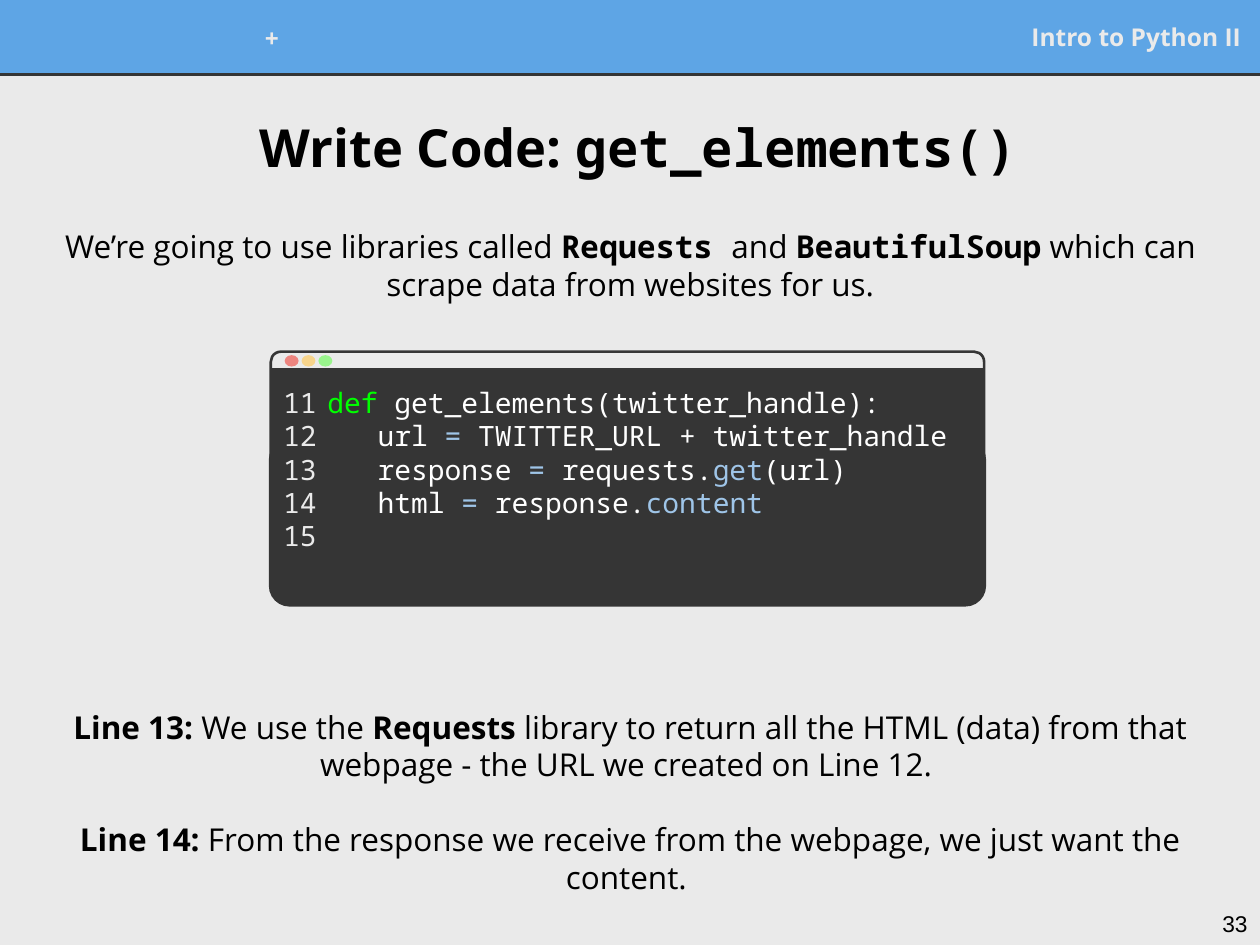
from lxml import etree
from pptx import Presentation
from pptx import util as u
from pptx.dml.color import RGBColor
from pptx.enum import shapes, text
from pptx.oxml.ns import qn

PAPER = RGBColor(0xEA, 0xEA, 0xEA)
SKY = RGBColor(0x5E, 0xA5, 0xE5)
CHARCOAL = RGBColor(0x35, 0x35, 0x35)
BLACK = RGBColor(0, 0, 0)
WHITE = RGBColor(0xFF, 0xFF, 0xFF)
KEYWORD = RGBColor(0, 0xFF, 0)
ACCENT = RGBColor(0x9F, 0xC5, 0xE8)
BUTTONS = (
    RGBColor(0xED, 0x85, 0x7F),
    RGBColor(0xF7, 0xD4, 0x8B),
    RGBColor(0x99, 0xF4, 0x8C),
)
SANS, MONO = "Open Sans", "Noto Sans Mono"
LEFT, CENTER, RIGHT = text.PP_ALIGN.LEFT, text.PP_ALIGN.CENTER, text.PP_ALIGN.RIGHT
TOP, MIDDLE = text.MSO_ANCHOR.TOP, text.MSO_ANCHOR.MIDDLE
PRESET = shapes.MSO_SHAPE


class Deck:
    inset = 0.25

    def __init__(self):
        self.prs = Presentation()
        self.prs.slide_width, self.prs.slide_height = u.Cm(25.4), u.Cm(19.05)
        self.slide = self.prs.slides.add_slide(self.prs.slide_layouts[5])
        self.slide.background.fill.solid()
        self.slide.background.fill.fore_color.rgb = PAPER
        self.canvas = self.slide.shapes

    def shape(self, preset, box, fill=None, line=None, width=0.75, corner=None):
        shape = self.canvas.add_shape(preset, *map(u.Cm, box))
        shape.shadow.inherit = False
        if corner is not None:
            shape.adjustments[0] = corner
        if fill is None:
            shape.fill.background()
        else:
            shape.fill.solid()
            shape.fill.fore_color.rgb = fill
        if line is None:
            shape.line.fill.background()
        else:
            shape.line.color.rgb = line
            shape.line.width = u.Pt(width)

    def rule(self, x1, y1, x2, y2, color, width):
        rule = self.canvas.add_connector(
            shapes.MSO_CONNECTOR.STRAIGHT, *map(u.Cm, (x1, y1, x2, y2)))
        rule.line.color.rgb = color
        rule.line.width = u.Pt(width)
        etree.SubElement(rule._element.spPr, qn("a:effectLst"))

    def text(self, box, paragraphs, **style):
        self.fill_text(self.canvas.add_textbox(*map(u.Cm, box)), paragraphs, **style)

    def title(self, box, runs, **style):
        title = self.slide.shapes.title
        title.left, title.top, title.width, title.height = map(u.Cm, box)
        self.fill_text(title, [runs], **style)

    def fill_text(self, holder, paragraphs, size, color=BLACK, font=SANS, bold=False,
                  align=LEFT, anchor=TOP, top=None, leading=None, gap=0):
        frame = holder.text_frame
        frame.word_wrap = True
        frame.auto_size = text.MSO_AUTO_SIZE.NONE
        frame.vertical_anchor = anchor
        frame.margin_left = frame.margin_right = frame.margin_bottom = u.Cm(self.inset)
        frame.margin_top = u.Cm(self.inset if top is None else top)
        for index, runs in enumerate(paragraphs):
            paragraph = frame.add_paragraph() if index else frame.paragraphs[0]
            paragraph.alignment = align
            paragraph.space_before = u.Pt(gap if index else 0)
            if leading:
                paragraph.line_spacing = u.Pt(leading)
            for words, change in runs:
                look = {"font": font, "color": color, "bold": bold, **change}
                run = paragraph.add_run()
                run.text = words
                run.font.name = look["font"]
                run.font.size = u.Pt(size)
                run.font.bold = look["bold"]
                run.font.color.rgb = look["color"]


def add_header(deck):
    deck.shape(PRESET.RECTANGLE, (0, 0, 25.4, 1.5), SKY, SKY)
    deck.rule(0, 1.5, 25.4, 1.5, CHARCOAL, 1.5)
    label = dict(size=14, color=PAPER, bold=True, anchor=MIDDLE)
    deck.text((15.85, 0.25, 9.42, 0.97), [[("Intro to Python II", {})]],
              align=RIGHT, **label)
    deck.text((4.72, 0.28, 1.52, 0.97), [[("+", {})]], align=CENTER, **label)
    deck.text((23.88, 18.08, 1.52, 0.97), [[("33", {})]],
              size=13, font="Arial", align=RIGHT)


def add_code_window(deck):
    left, width = 5.46, 14.38
    deck.canvas = deck.slide.shapes.add_group_shape().shapes
    deck.shape(PRESET.ROUNDED_RECTANGLE, (left, 7.09, width, 3.68),
               line=CHARCOAL, width=1.5, corner=0.055)
    deck.shape(PRESET.RECTANGLE, (left, 7.42, width, 4.39), CHARCOAL)
    deck.shape(PRESET.ROUNDED_RECTANGLE, (left, 8.89, width, 3.3),
               CHARCOAL, CHARCOAL, 2.25, 0.115)
    for index, color in enumerate(BUTTONS):
        deck.shape(PRESET.OVAL, (5.74 + index * 0.34, 7.16, 0.28, 0.23), color)

    accent = {"color": ACCENT}
    code = [
        [("def", {"color": KEYWORD}), (" get_elements(twitter_handle):", {})],
        [("   url ", {}), ("=", accent), (" TWITTER_URL + twitter_handle", {})],
        [("   response ", {}), ("=", accent), (" requests.", {}),
         ("get", accent), ("(url)", {})],
        [("   html ", {}), ("=", accent), (" response.", {}), ("content", accent)],
    ]
    line_numbers = [[(str(number), {})] for number in range(11, 16)]
    mono = dict(size=16, font=MONO, leading=19.1)
    deck.text((6.35, 7.52, width, 4.29), code, color=WHITE, **mono)
    deck.text((left, 7.52, 1.4, 4.8), line_numbers, color=PAPER, **mono)
    deck.canvas = deck.slide.shapes


def main():
    deck = Deck()
    strong = {"bold": True}
    library = {"font": MONO, "bold": True}
    prose = dict(size=18, align=CENTER, leading=21.5)

    add_header(deck)
    deck.title((0.61, 1.8, 24.51, 2.29),
               [("Write Code: ", {}), ("get_elements()", {"font": MONO})],
               size=30, bold=True, align=CENTER, anchor=MIDDLE)
    deck.text((0.81, 4.06, 23.8, 1.8), [[
        ("We’re going to use libraries called ", {}),
        ("Requests ", library),
        ("and ", {}),
        ("BeautifulSoup", library),
        (" which can scrape data from websites for us.", {}),
    ]], top=0.53, **prose)
    add_code_window(deck)
    deck.text((0.81, 14.02, 23.8, 3.53), [
        [("Line 13: ", strong), ("We use the ", {}), ("Requests", strong),
         (" library to return all the HTML (data) from that webpage"
          " - the URL we created on Line 12. ", {})],
        [("Line 14: ", strong),
         ("From the response we receive from the webpage,"
          " we just want the content. ", {})],
    ], gap=21.5, **prose)
    deck.prs.save("out.pptx")


if __name__ == "__main__":
    main()
